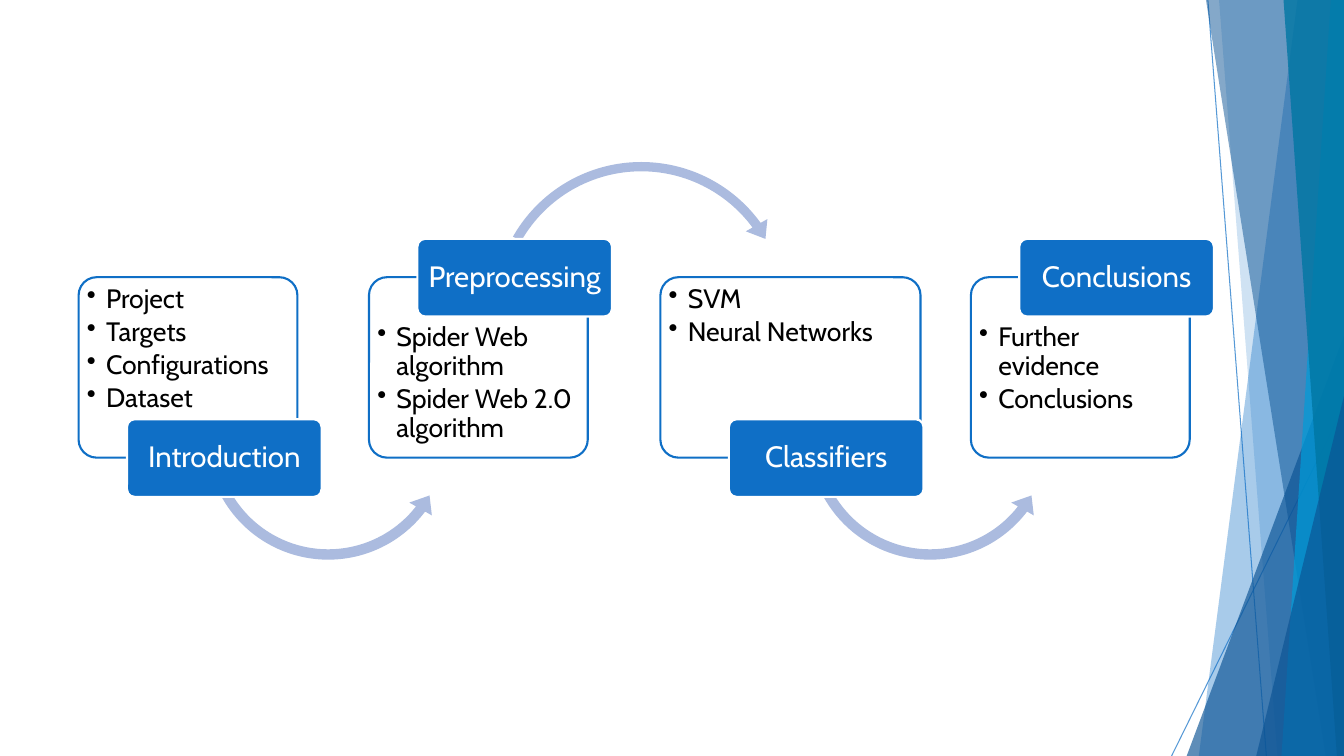
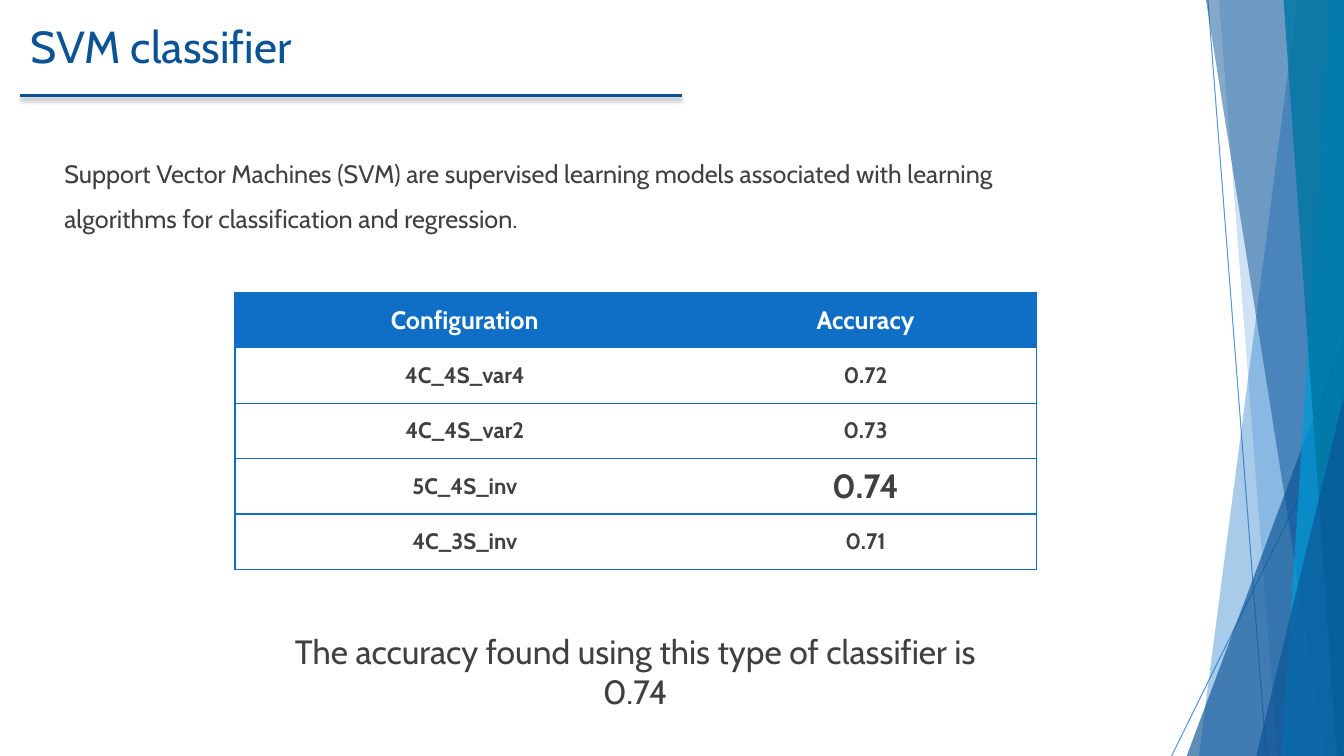
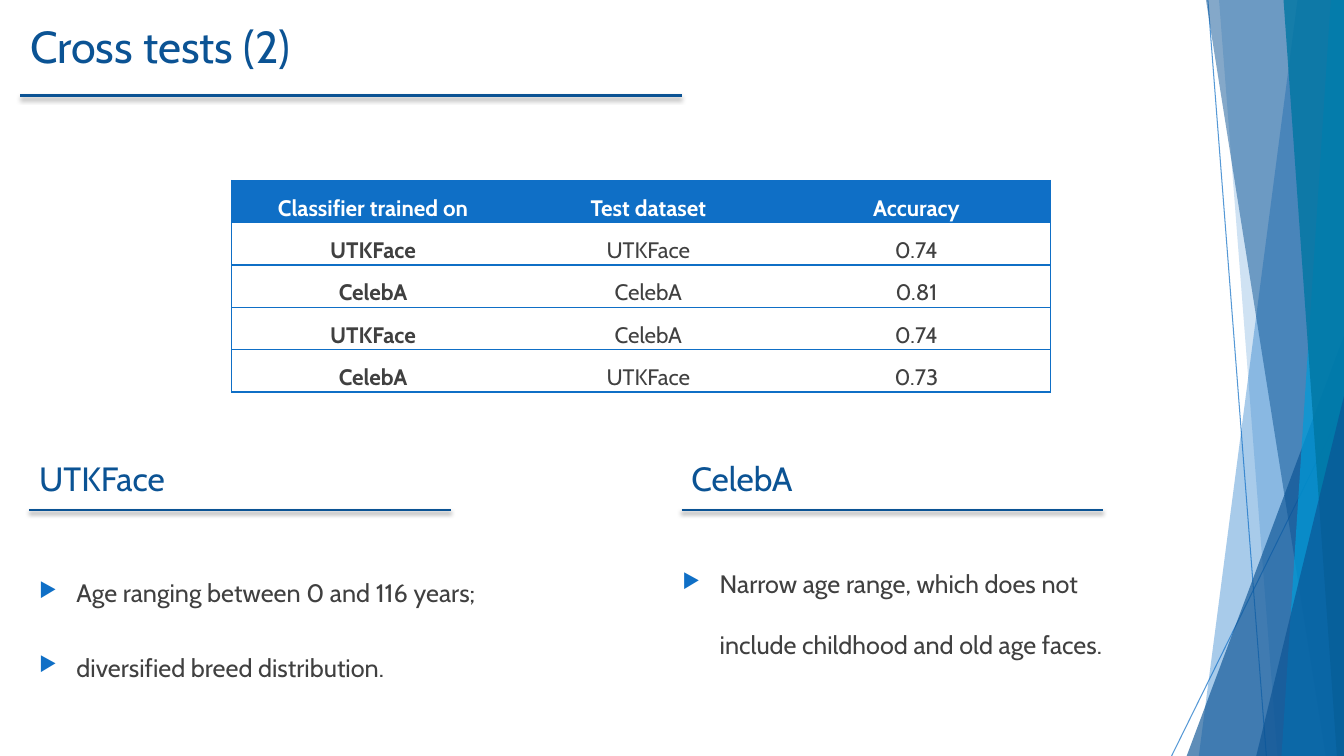
from pptx import Presentation
from pptx.dml.color import RGBColor
from pptx.enum.shapes import MSO_CONNECTOR, MSO_SHAPE
from pptx.enum.text import MSO_ANCHOR, PP_ALIGN
from pptx.oxml import parse_xml
from pptx.oxml.ns import nsdecls
from pptx.util import Pt

PX = 9144
BLUE = RGBColor(0x0F, 0x6F, 0xC6)
NAVY = RGBColor(0x0B, 0x53, 0x94)
CYAN = RGBColor(0x00, 0x9D, 0xD9)
TEAL = RGBColor(0x00, 0x76, 0xA3)
LAVENDER = RGBColor(0xAB, 0xBB, 0xDF)
GREY = RGBColor(0x40, 0x40, 0x40)
BLACK = RGBColor(0, 0, 0)
WHITE = RGBColor(0xFF, 0xFF, 0xFF)
BLANK, TITLE_ONLY = 6, 5
CARD_W = 217


def xml(text):
    tag, rest = text.split(" ", 1)
    return parse_xml(f"{tag} {nsdecls('a')} {rest}")


class Deck:
    """Holds the presentation, its shared style and the current slide."""

    def __init__(self, width, height):
        self.prs = Presentation()
        self.prs.slide_width, self.prs.slide_height = width * PX, height * PX
        self.right, self.bottom = width, height
        self.font = "Cabin"
        self.shapes = None

    def slide(self, title=None):
        layout = self.prs.slide_layouts[BLANK if title is None else TITLE_ONLY]
        self.shapes = self.prs.slides.add_slide(layout).shapes
        if title is not None:
            s = self.shapes.title
            s.left, s.top, s.width, s.height = (v * PX for v in (20, 14, 755, 84))
            s.text_frame.vertical_anchor = MSO_ANCHOR.TOP
            self.run(s.text_frame.paragraphs[0], title, 32, NAVY)
            self.rule(20, 95, 656)

    def ribbons(self):
        slide_shapes = self.shapes
        group = slide_shapes.add_group_shape()
        self.shapes = group.shapes
        r, b = self.right, self.bottom
        for x1, y1, x2, y2 in ((1198, 0, 1256, b), (r, 403, 1162, b)):
            self.fade(self.line(x1, y1, x2, y2, BLUE, 0.75), 70)
        self.ribbon(1287, 1189, BLUE, 36)
        self.ribbon(1209, 1267, BLUE, 20)
        self.wedge(1177, 333, NAVY, 66)
        self.ribbon(1196, 1315, NAVY, 50)
        self.ribbon(1320, 1271, CYAN, 70)
        self.ribbon(1273, 1326, TEAL, 80)
        self.wedge(1246, 393, NAVY, 66)
        for number, el in enumerate(group.element.xpath(".//p:cNvPr"), 20):
            el.set("id", str(number))
        self.prs.slide_master.shapes.element.append(group.element)
        self.shapes = slide_shapes

    def ribbon(self, top_x, bottom_x, color, alpha):
        fb = self.shapes.build_freeform(top_x, -1, scale=PX)
        fb.add_line_segments([(self.right, -1), (self.right, self.bottom),
                              (bottom_x, self.bottom)])
        self.paint(fb.convert_to_shape(), color, alpha)

    def wedge(self, x, y, color, alpha):
        self.shape(MSO_SHAPE.ISOSCELES_TRIANGLE, x, y, self.right - x,
                   self.bottom - y, color, [1], alpha)

    def fade(self, s, alpha):
        for clr in s.element.xpath(".//a:srgbClr"):
            clr.append(xml(f'<a:alpha val="{alpha * 1000}"/>'))

    def paint(self, s, color, alpha=100, outline=None):
        s.shadow.inherit = False
        s.fill.solid()
        s.fill.fore_color.rgb = color
        if alpha < 100:
            self.fade(s, alpha)
        if outline is None:
            s.line.fill.background()
        else:
            s.line.color.rgb = outline
            s.line.width = Pt(1.5)
        return s

    def shape(self, kind, x, y, w, h, color, adj, alpha=100, outline=None):
        s = self.shapes.add_shape(kind, x * PX, y * PX, w * PX, h * PX)
        for i, value in enumerate(adj):
            s.adjustments[i] = value
        return self.paint(s, color, alpha, outline)

    def line(self, x1, y1, x2, y2, color, width, effect=""):
        s = self.shapes.add_connector(MSO_CONNECTOR.STRAIGHT,
                                      x1 * PX, y1 * PX, x2 * PX, y2 * PX)
        s.line.color.rgb = color
        s.line.width = Pt(width)
        s.element.spPr.append(xml(f"<a:effectLst >{effect}</a:effectLst>"))
        return s

    def rule(self, x, y, w):
        self.line(x, y, x + w, y, NAVY, 2,
                  '<a:outerShdw blurRad="38100" dist="25400" dir="5400000">'
                  '<a:srgbClr val="000000"><a:alpha val="35000"/></a:srgbClr>'
                  '</a:outerShdw>')

    def run(self, p, text, size, color, bold=False, align=PP_ALIGN.LEFT):
        p.alignment = align
        r = p.add_run()
        r.text = text
        r.font.name, r.font.size, r.font.bold = self.font, Pt(size), bold
        r.font.color.rgb = color

    def bullet(self, p, char, indent, style=()):
        pPr = p._p.get_or_add_pPr()
        pPr.set("marL", str(indent * PX))
        pPr.set("indent", str(-indent * PX))
        for part in (*style, f'<a:buChar char="{char}"/>'):
            pPr.append(xml(part))

    def paragraphs(self, tf, texts):
        for i, text in enumerate(texts):
            yield i, text, tf.add_paragraph() if i else tf.paragraphs[0]

    def insets(self, tf, x, y, top=None):
        tf.margin_left = tf.margin_right = x * PX
        tf.margin_bottom = y * PX
        tf.margin_top = (y if top is None else top) * PX
        tf.word_wrap = True

    def text(self, x, y, w, h, text, size, color=GREY, spacing=1.0,
             align=PP_ALIGN.LEFT):
        tf = self.shapes.add_textbox(x * PX, y * PX, w * PX, h * PX).text_frame
        tf.word_wrap = True
        p = tf.paragraphs[0]
        p.line_spacing = spacing
        self.run(p, text, size, color, align=align)

    def points(self, x, y, w, h, texts):
        tf = self.shapes.add_textbox(x * PX, y * PX, w * PX, h * PX).text_frame
        tf.word_wrap = True
        style = (f'<a:buClr ><a:srgbClr val="{BLUE}"/></a:buClr>',
                 '<a:buSzPct val="80000"/>')
        for i, text, p in self.paragraphs(tf, texts):
            self.bullet(p, "▶", 37, style)
            p.line_spacing = 2.0
            if i:
                p.space_before = Pt(10)
            self.run(p, text, 18, GREY)

    def stage(self, x, w, name, items, raised, arrow=True):
        s = self.shape(MSO_SHAPE.ROUNDED_RECTANGLE, x, 275, w, 179,
                       WHITE, [0.1], 90, BLUE)
        tf = s.text_frame
        tf.vertical_anchor = MSO_ANCHOR.TOP
        self.insets(tf, 3, 3, 41 if raised else 3)
        for _, text, p in self.paragraphs(tf, items):
            self.bullet(p, "•", 19)
            p.line_spacing, p.space_after = 0.9, Pt(3)
            self.run(p, text, 19, BLACK)
        label_x = x + 48 + (w - CARD_W) // 2
        if arrow and raised:
            self.shape(MSO_SHAPE.CIRCULAR_ARROW, label_x + 68, 153, 308, 308,
                       LAVENDER, [0.03, 3.93, 194.31, 125.76, 0.04])
        elif arrow:
            self.shape(MSO_SHAPE.LEFT_CIRCULAR_ARROW, label_x + 71, 306, 257, 257,
                       LAVENDER, [0.04, 4.79, 22.54, 90.25, 0.05])
        s = self.shape(MSO_SHAPE.ROUNDED_RECTANGLE, label_x, 237 if raised else 416,
                       193, 77, BLUE, [0.1], outline=WHITE)
        tf = s.text_frame
        tf.vertical_anchor = MSO_ANCHOR.MIDDLE
        self.insets(tf, 4, 3)
        tf.paragraphs[0].line_spacing = 0.9
        self.run(tf.paragraphs[0], name, 21, WHITE, align=PP_ALIGN.CENTER)

    def table(self, x, y, widths, row_h, rows, head_size=16, bold_cols=1,
              spacing=1.0, after=0, large=None):
        frame = self.shapes.add_table(len(rows), len(widths), x * PX, y * PX,
                                      sum(widths) * PX, row_h * len(rows) * PX)
        table = frame.table
        for col, w in zip(table.columns, widths):
            col.width = w * PX
        for i, row in enumerate(rows):
            table.rows[i].height = row_h * PX
            for j, text in enumerate(row):
                cell = table.cell(i, j)
                cell.fill.solid()
                cell.fill.fore_color.rgb = WHITE if i else BLUE
                cell.vertical_anchor = MSO_ANCHOR.MIDDLE
                cell.margin_left = cell.margin_right = 7 * PX
                cell.margin_top = cell.margin_bottom = 0
                self.borders(cell, j == 0, j == len(widths) - 1)
                p = cell.text_frame.paragraphs[0]
                p.line_spacing, p.space_after = spacing, Pt(after)
                size = 24 if (i, j) == large else 16 if i else head_size
                self.run(p, text, size, GREY if i else WHITE,
                         i == 0 or j < bold_cols, PP_ALIGN.CENTER)

    def borders(self, cell, first, last):
        tcPr = cell._tc.get_or_add_tcPr()
        for i, (side, shown) in enumerate(zip("LRTB", (first, last, True, True))):
            fill = (f'<a:solidFill><a:srgbClr val="{BLUE}"/></a:solidFill>'
                    if shown else "<a:noFill/>")
            tcPr.insert(i, xml(f'<a:ln{side} w="12700">{fill}</a:ln{side}>'))


def main():
    deck = Deck(1333, 750)

    deck.slide()
    deck.ribbons()
    deck.stage(78, CARD_W, "Introduction",
               ["Project", "Targets", "Configurations", "Dataset"], False)
    deck.stage(366, CARD_W, "Preprocessing",
               ["Spider Web algorithm", "Spider Web 2.0 algorithm"], True)
    deck.stage(655, 258, "Classifiers", ["SVM", "Neural Networks"], False)
    deck.stage(963, CARD_W, "Conclusions",
               ["Further evidence", "Conclusions"], True, arrow=False)

    deck.slide("SVM classifier")
    deck.table(233, 290, [456, 339], 55, [
        ("Configuration", "Accuracy"),
        ("4C_4S_var4", "0.72"),
        ("4C_4S_var2", "0.73"),
        ("5C_4S_inv", "0.74"),
        ("4C_3S_inv", "0.71"),
    ], head_size=18, bold_cols=2, after=12, large=(3, 1))
    deck.text(54, 137, 1001, 95,
              "Support Vector Machines (SVM) are supervised learning models "
              "associated with learning algorithms for classification and regression.",
              18, spacing=1.5)
    deck.text(264, 621, 732, 91,
              "The accuracy found using this type of classifier is 0.74",
              24, align=PP_ALIGN.CENTER)

    deck.slide("Cross tests (2)")
    deck.table(230, 179, [280, 266, 266], 42, [
        ("Classifier trained on", "Test dataset", "Accuracy"),
        ("UTKFace", "UTKFace", "0.74"),
        ("CelebA", "CelebA", "0.81"),
        ("UTKFace", "CelebA", "0.74"),
        ("CelebA", "UTKFace", "0.73"),
    ], spacing=1.5)
    for x, name in ((29, "UTKFace"), (676, "CelebA")):
        deck.text(x, 449, 228, 46, name, 24, NAVY)
        deck.rule(x, 506, 418)
    deck.points(29, 538, 492, 186, ["Age ranging between 0 and 116 years;",
                                    "diversified breed distribution."])
    deck.points(667, 529, 440, 186, ["Narrow age range, which does not include "
                                     "childhood and old age faces."])

    deck.prs.save("out.pptx")


if __name__ == "__main__":
    main()
